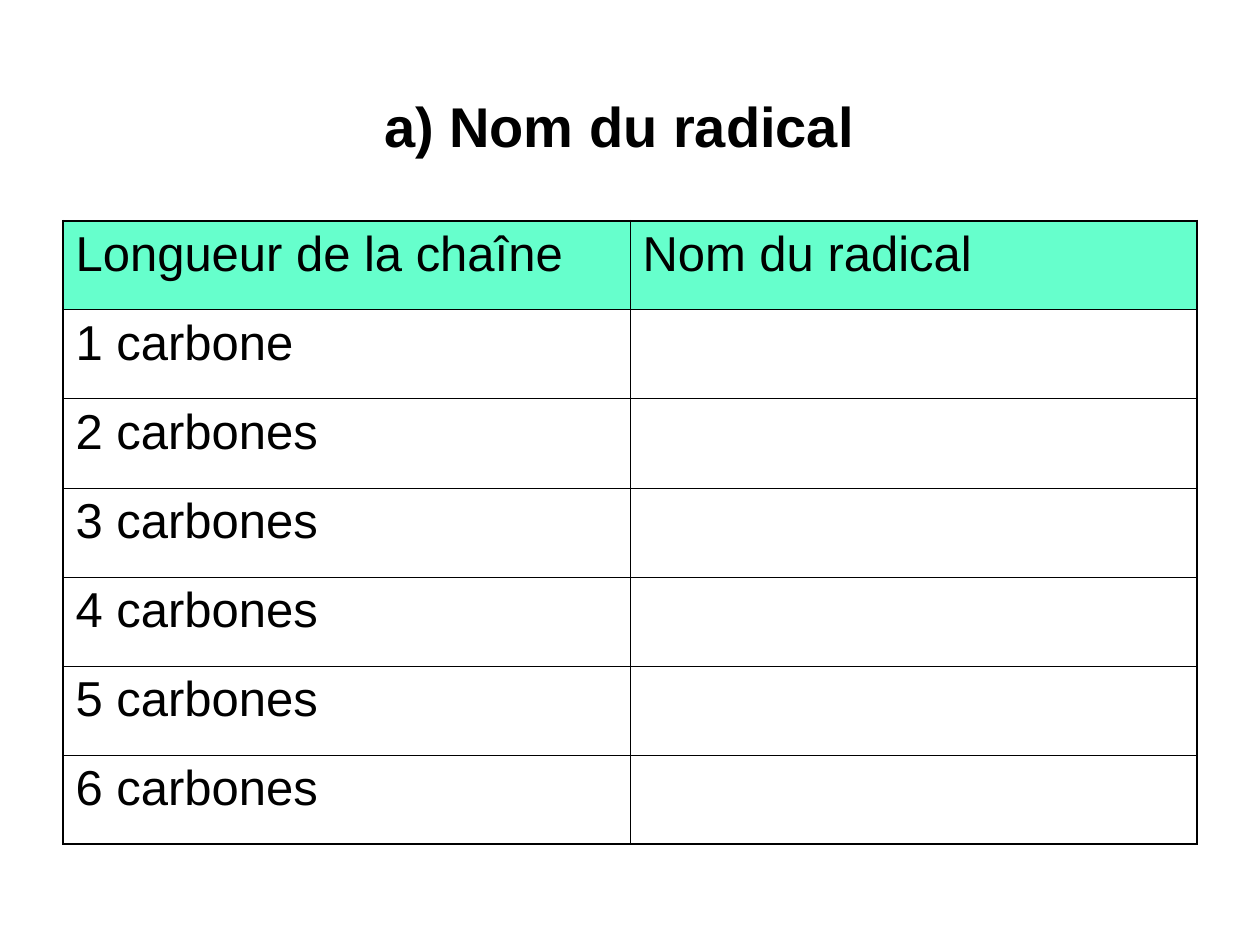
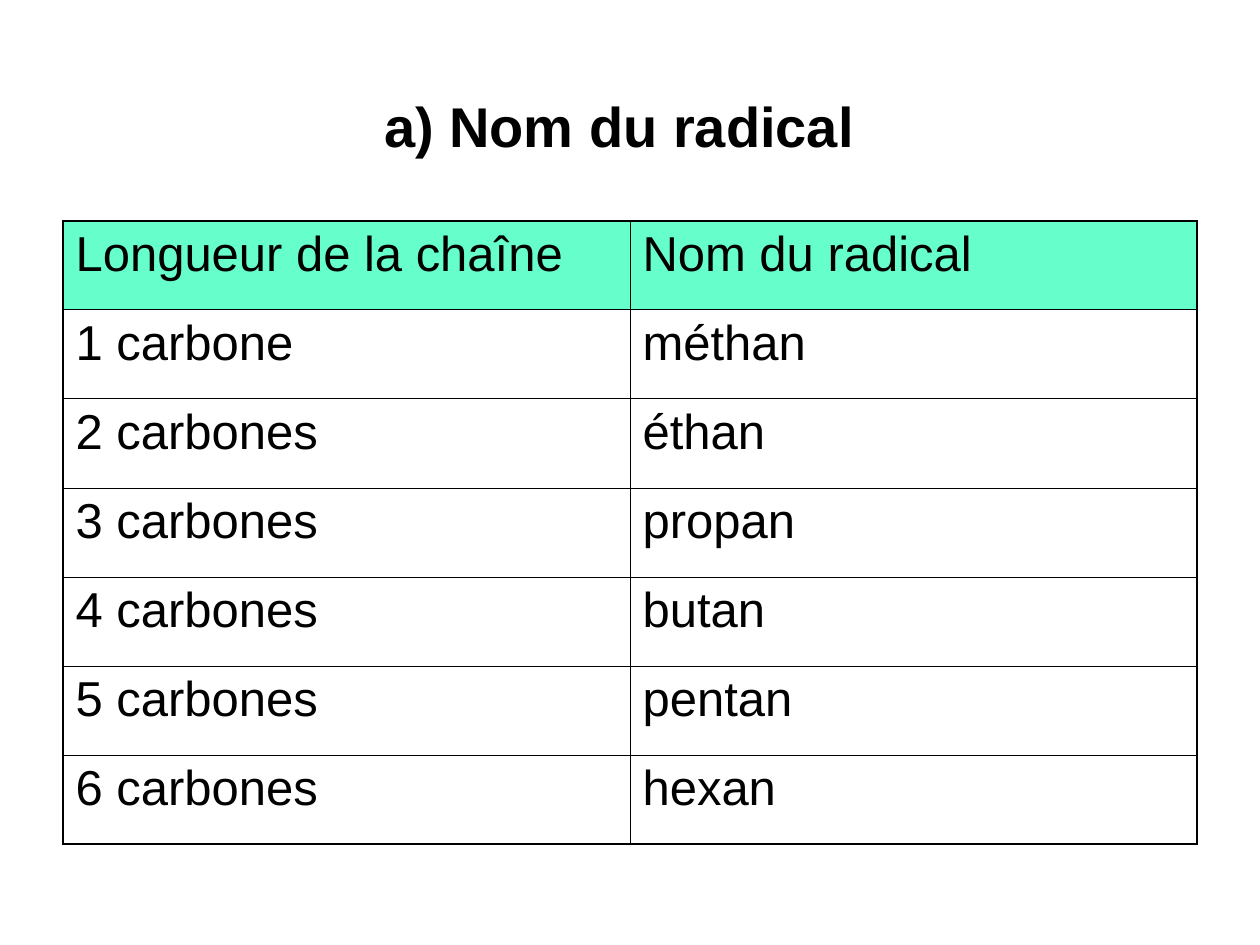
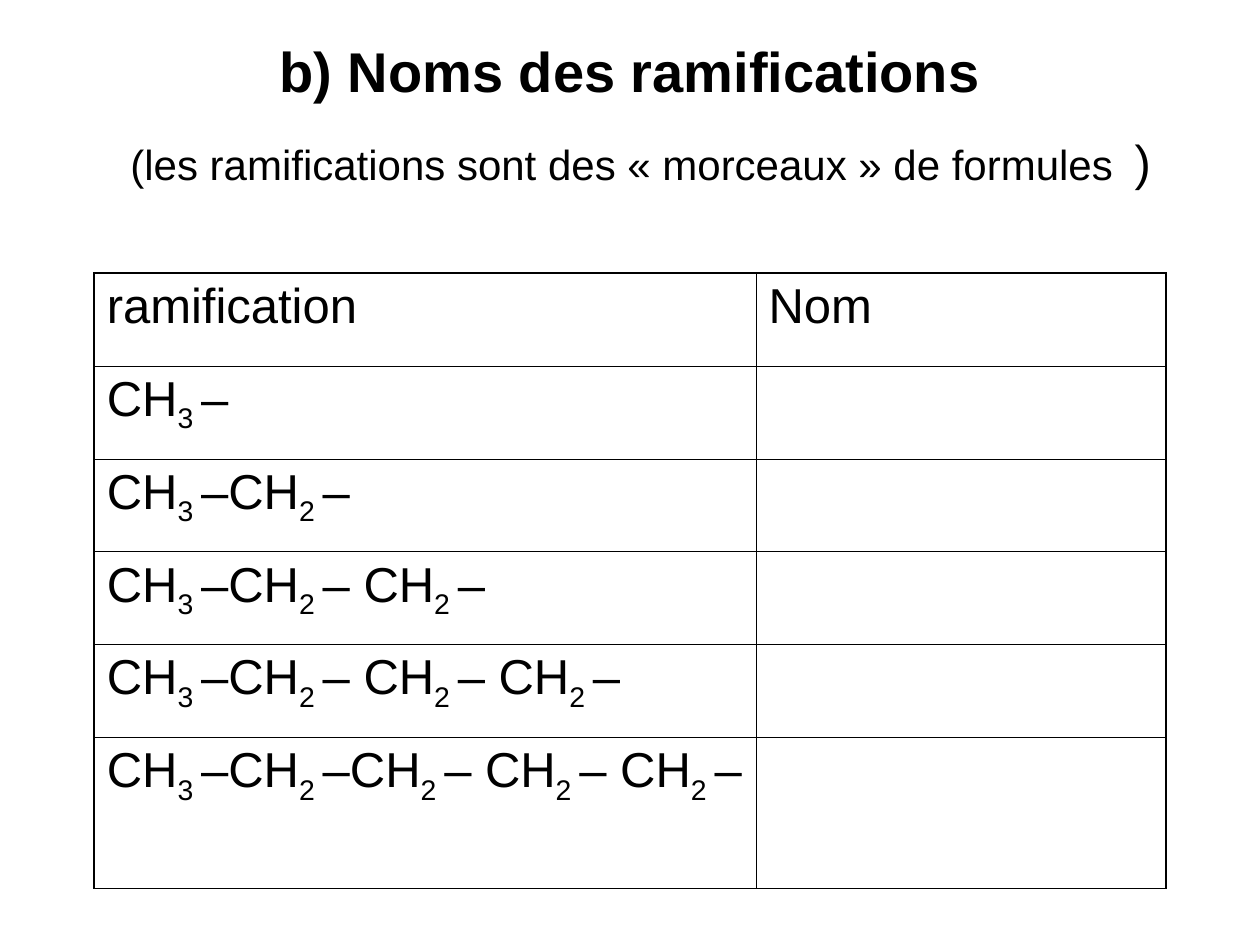
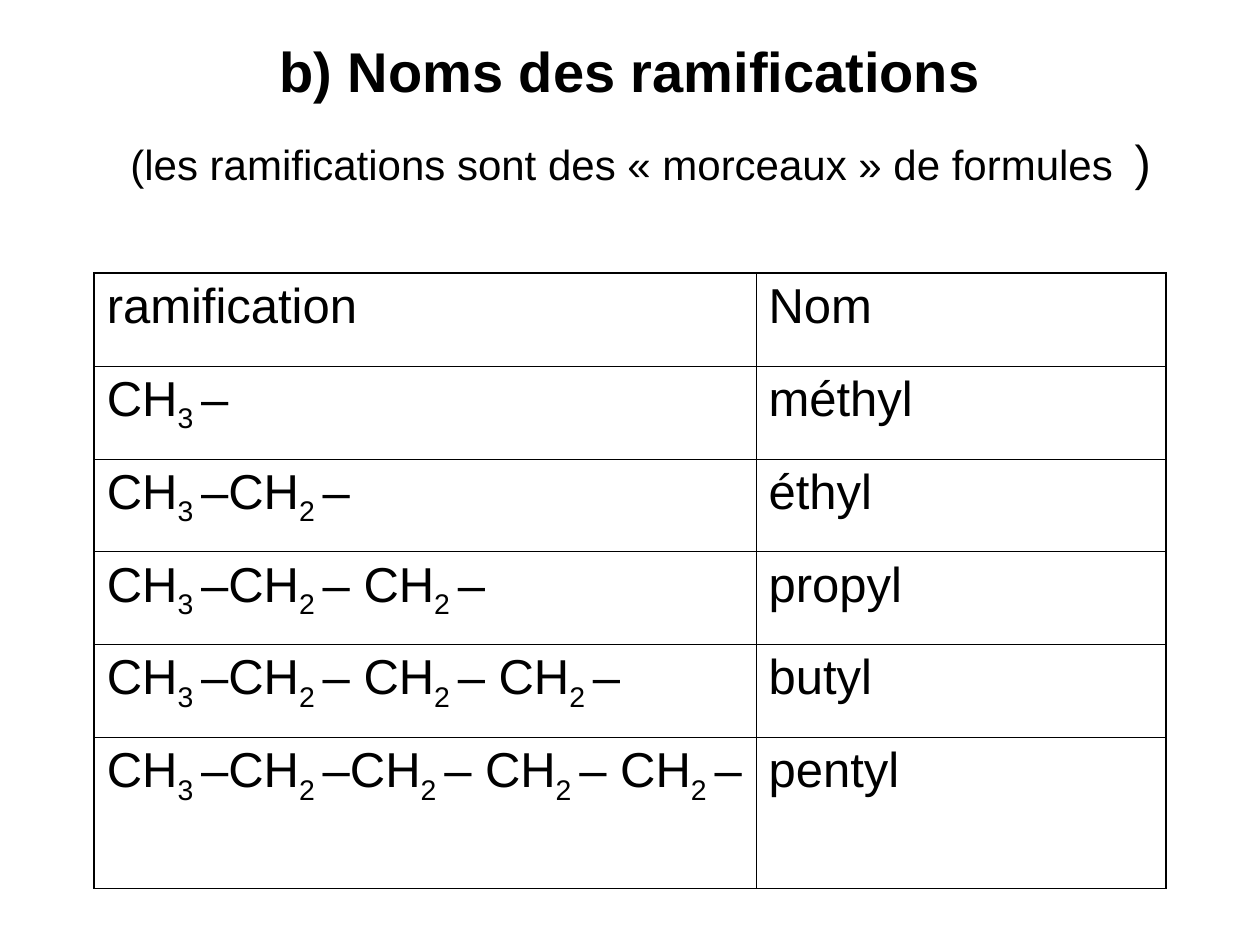
import dataclasses

import pptx
import pptx.dml.color
import pptx.enum.text
import pptx.util
from lxml import etree
from pptx.oxml.ns import qn

Cm = pptx.util.Cm
Pt = pptx.util.Pt


@dataclasses.dataclass(frozen=True)
class Theme:
    font: str = "Arial"
    ink: str = "000000"
    mint: str = "66FFCC"
    title: int = 32
    space: int = 44
    note: int = 24
    cell: int = 28
    thick: float = 1.08
    thin: float = 0.45


THEME = Theme()

# Boxes: left, top, width, height in cm
TITLE = (1.27, 0.76, 22.86, 3.18)
STEMS = (1.27, 4.45, 22.86, 12.57)
CHAINS = (1.9, 5.51, 21.6, 12.4)

# Wording: in formulas, every second part between bars is a subscript
LENGTHS = ["1 carbone"] + [f"{count} carbones" for count in range(2, 7)]
ROOTS = ["méthan", "éthan", "propan", "butan", "pentan", "hexan"]
FORMULAS = [
    "CH|3 |–",
    "CH|3 |–CH|2 |–",
    "CH|3 |–CH|2 |– CH|2 |–",
    "CH|3 |–CH|2 |– CH|2 |– CH|2 |–",
    "CH|3 |–CH|2 |–CH|2 |– CH|2 |– CH|2 |–",
]
BRANCHES = ["méthyl", "éthyl", "propyl", "butyl", "pentyl"]


def write(para, text, size=THEME.cell, bold=False, sub=False):
    """Add one formatted run to a paragraph."""
    run = para.add_run()
    run.text = text
    font = run.font
    font.name, font.size, font.bold = THEME.font, Pt(size), bold
    font.color.rgb = pptx.dml.color.RGBColor.from_string(THEME.ink)
    if sub:
        run._r.get_or_add_rPr().set("baseline", "-25000")


def border(cell, side, width):
    line = etree.SubElement(cell._tc.get_or_add_tcPr(), qn(f"a:ln{side}"),
                            w=str(int(Pt(width))))
    fill = etree.SubElement(line, qn("a:solidFill"))
    etree.SubElement(fill, qn("a:srgbClr"), val=THEME.ink)


def title(slide, box, text, note=None):
    """Fill the title placeholder, with an optional note on a second line."""
    shape = slide.shapes.title
    shape.left, shape.top, shape.width, shape.height = map(Cm, box)
    frame = shape.text_frame
    frame.word_wrap = True
    frame.auto_size = pptx.enum.text.MSO_AUTO_SIZE.NONE
    frame.vertical_anchor = pptx.enum.text.MSO_ANCHOR.MIDDLE
    para = frame.paragraphs[0]
    para.alignment = pptx.enum.text.PP_ALIGN.CENTER
    write(para, text, size=THEME.title, bold=True)
    if note:
        para.add_line_break()
    write(para, " ", size=THEME.space)
    if note:
        write(para, note, size=THEME.note)
        write(para, " ", size=THEME.space)
        write(para, ")")


def grid(slide, box, rows, widths, heights, head=None):
    """Draw a ruled table; widths and heights are shares of the box."""
    left, top, width, height = box
    table = slide.shapes.add_table(len(rows), len(widths),
                                   *map(Cm, box)).table
    table.first_row = table.horz_banding = False
    for column, share in zip(table.columns, widths):
        column.width = Cm(width * share / sum(widths))
    for row, share in zip(table.rows, heights):
        row.height = Cm(height * share / sum(heights))

    for r, texts in enumerate(rows):
        for c, text in enumerate(texts):
            cell = table.cell(r, c)
            # Outer edges are thicker than inner rules
            edges = {"L": c == 0, "R": c == len(widths) - 1,
                     "T": r == 0, "B": r == len(rows) - 1}
            for side, outer in edges.items():
                border(cell, side, THEME.thick if outer else THEME.thin)
            if head and r == 0:
                cell.fill.solid()
                cell.fill.fore_color.rgb = (
                    pptx.dml.color.RGBColor.from_string(head))
            else:
                cell.fill.background()
            if text:
                para = cell.text_frame.paragraphs[0]
                for i, part in enumerate(text.split("|")):
                    write(para, part, sub=i % 2 == 1)


def pairs(head, keys, names, solved):
    """Table rows, with the names left blank until solved."""
    return [head] + [(key, name if solved else "")
                     for key, name in zip(keys, names)]


def stems(slide, solved):
    title(slide, TITLE, "a) Nom du radical")
    rows = pairs(("Longueur de la chaîne", "Nom du radical"),
                 LENGTHS, ROOTS, solved)
    grid(slide, STEMS, rows, [1, 1], [1] * 7, head=THEME.mint)


def chains(slide, solved):
    title(slide, TITLE, "b) Noms des ramifications",
          note="(les ramifications sont des « morceaux » de formules")
    rows = pairs(("ramification", "Nom"), FORMULAS, BRANCHES, solved)
    grid(slide, CHAINS, rows, [5.25, 3.25], [1] * 5 + [1.63])


def main():
    deck = pptx.Presentation()
    deck.slide_width, deck.slide_height = Cm(25.4), Cm(19.05)
    layout = deck.slide_layouts.get_by_name("Title Only")
    for build in (stems, chains):
        for solved in (False, True):
            build(deck.slides.add_slide(layout), solved)
    deck.save("out.pptx")


if __name__ == "__main__":
    main()
